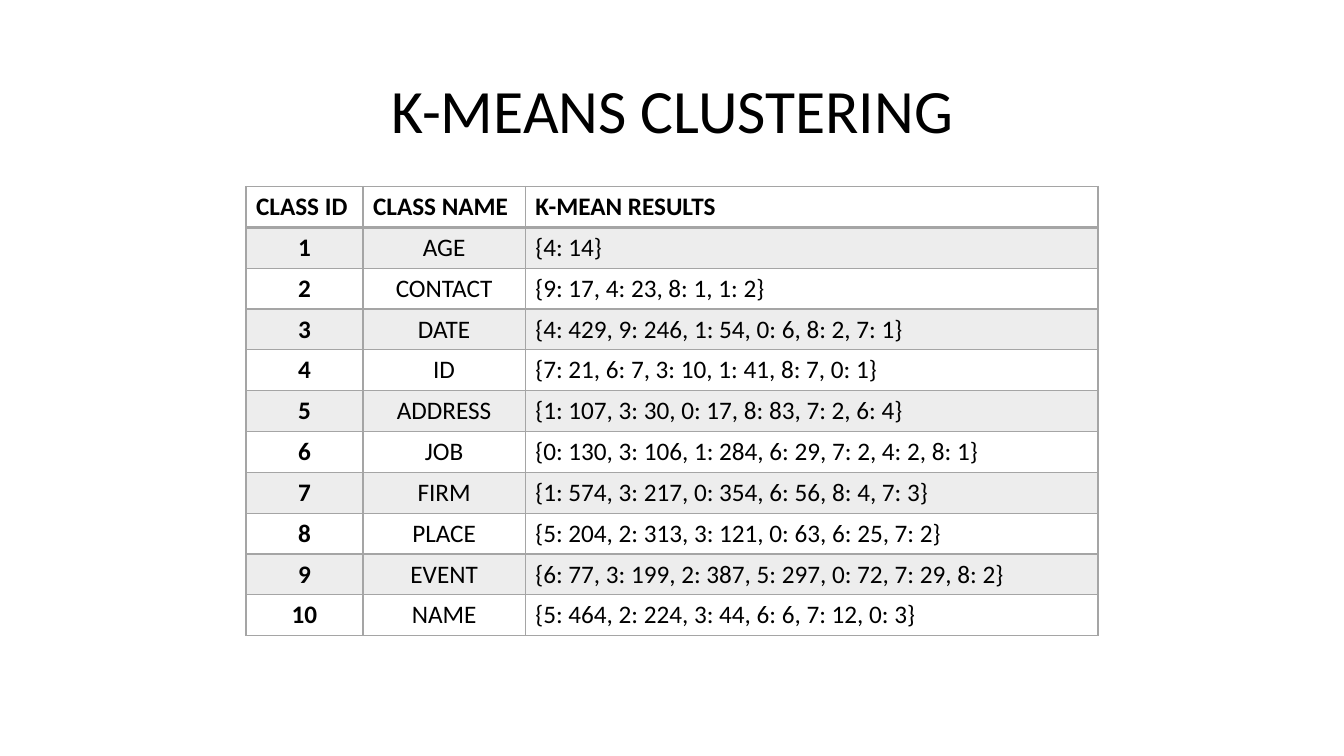
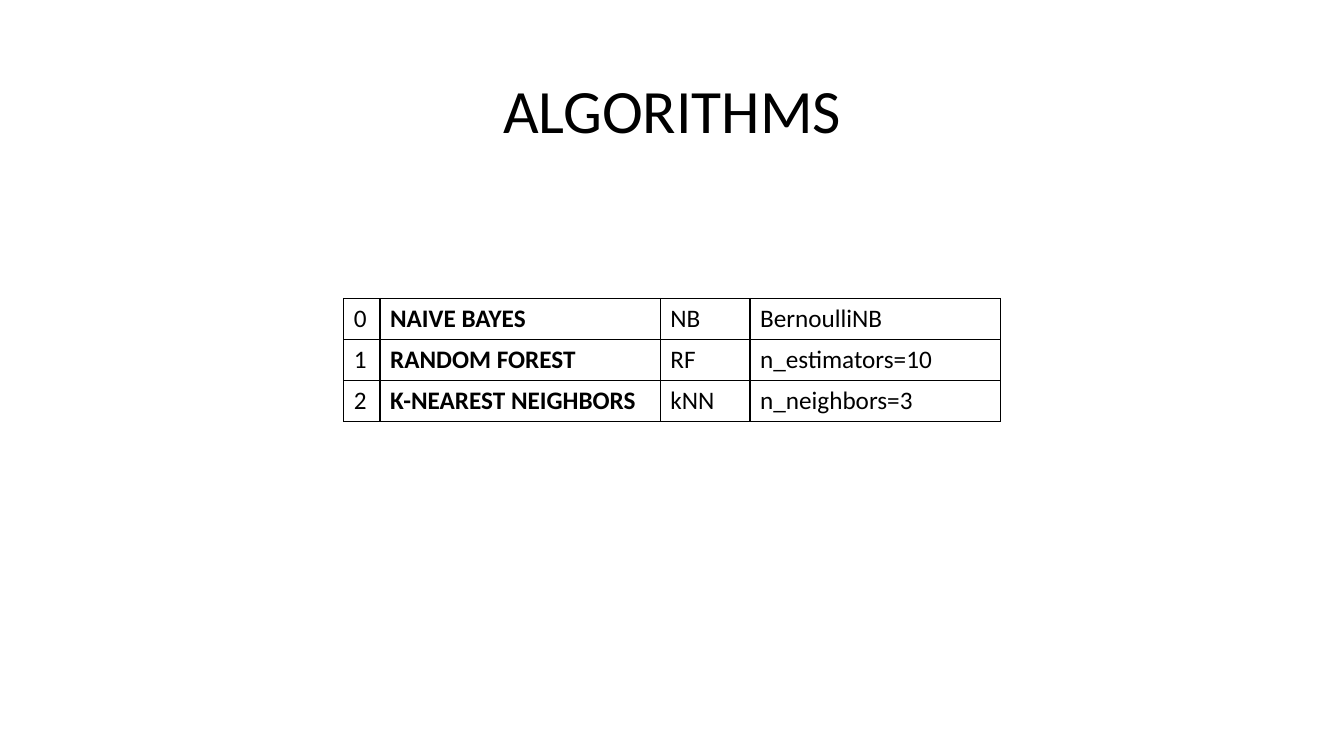
from dataclasses import dataclass

from lxml.etree import SubElement
from pptx import Presentation
from pptx.dml.color import RGBColor
from pptx.enum.text import MSO_ANCHOR, PP_ALIGN
from pptx.oxml.ns import qn
from pptx.slide import Slide
from pptx.table import _Cell
from pptx.text.text import _Paragraph
from pptx.util import Inches, Pt


@dataclass(frozen=True)
class Theme:
    """Colours, font and type sizes shared by the slides."""
    font: str = "Calibri"
    text: str = "000000"
    grid: str = "A5A5A5"
    band: str = "EDEDED"
    title_size: int = 44
    table_size: int = 18


@dataclass(frozen=True)
class TableSpec:
    """Content, place and styling rules of one table."""
    left: float
    top: float
    height: float
    column_widths: tuple[float, ...]
    rows: tuple[tuple[str, ...], ...]
    border: str
    bold_column: int
    centred_columns: tuple[int, ...] = ()
    has_header: bool = False


THEME = Theme()

CLUSTERING = TableSpec(
    left=2.44, top=1.85, height=4.46, column_widths=(1.16, 1.61, 5.68),
    border=THEME.grid, bold_column=0, centred_columns=(0, 1), has_header=True,
    rows=(
        ("CLASS ID", "CLASS NAME", "K-MEAN RESULTS"),
        ("1", "AGE", "{4: 14}"),
        ("2", "CONTACT", "{9: 17, 4: 23, 8: 1, 1: 2}"),
        ("3", "DATE", "{4: 429, 9: 246, 1: 54, 0: 6, 8: 2, 7: 1}"),
        ("4", "ID", "{7: 21, 6: 7, 3: 10, 1: 41, 8: 7, 0: 1}"),
        ("5", "ADDRESS", "{1: 107, 3: 30, 0: 17, 8: 83, 7: 2, 6: 4}"),
        ("6", "JOB", "{0: 130, 3: 106, 1: 284, 6: 29, 7: 2, 4: 2, 8: 1}"),
        ("7", "FIRM", "{1: 574, 3: 217, 0: 354, 6: 56, 8: 4, 7: 3}"),
        ("8", "PLACE", "{5: 204, 2: 313, 3: 121, 0: 63, 6: 25, 7: 2}"),
        ("9", "EVENT", "{6: 77, 3: 199, 2: 387, 5: 297, 0: 72, 7: 29, 8: 2}"),
        ("10", "NAME", "{5: 464, 2: 224, 3: 44, 6: 6, 7: 12, 0: 3}"),
    ),
)

ALGORITHMS = TableSpec(
    left=3.41, top=2.96, height=1.22, column_widths=(0.36, 2.78, 0.89, 2.48),
    border=THEME.text, bold_column=1,
    rows=(
        ("0", "NAIVE BAYES", "NB", "BernoulliNB"),
        ("1", "RANDOM FOREST", "RF", "n_estimators=10"),
        ("2", "K-NEAREST NEIGHBORS", "kNN", "n_neighbors=3"),
    ),
)


def format_runs(paragraph: _Paragraph, size: int, bold: bool = False) -> None:
    """Apply the theme font to every run of a paragraph."""
    for run in paragraph.runs:
        run.font.name = THEME.font
        run.font.size = Pt(size)
        run.font.bold = bold
        run.font.color.rgb = RGBColor.from_string(THEME.text)


def add_title(slide: Slide, text: str) -> None:
    """Add the centred slide title."""
    shape = slide.shapes.add_textbox(
        Inches(0.92), Inches(0.4), Inches(11.5), Inches(1.45))
    text_frame = shape.text_frame
    text_frame.word_wrap = True
    text_frame.vertical_anchor = MSO_ANCHOR.MIDDLE
    text_frame.text = text
    paragraph = text_frame.paragraphs[0]
    paragraph.alignment = PP_ALIGN.CENTER
    paragraph.line_spacing = 0.9
    format_runs(paragraph, THEME.title_size)


def set_borders(cell: _Cell, color: str, bottom_width: int) -> None:
    """Draw all four cell borders; call before setting the fill."""
    properties = cell._tc.get_or_add_tcPr()
    widths = {"a:lnL": 1, "a:lnR": 1, "a:lnT": 1, "a:lnB": bottom_width}
    for tag, width in widths.items():
        line = SubElement(properties, qn(tag), w=str(Pt(width)))
        fill = SubElement(line, qn("a:solidFill"))
        SubElement(fill, qn("a:srgbClr"), val=color)


def format_cell(cell: _Cell, spec: TableSpec, row: int, column: int) -> None:
    """Style one cell by its place in the table."""
    is_header = spec.has_header and row == 0
    is_body_under_header = spec.has_header and row > 0
    set_borders(cell, spec.border, 2 if is_header else 1)
    if is_body_under_header and row % 2 == 1:
        cell.fill.solid()
        cell.fill.fore_color.rgb = RGBColor.from_string(THEME.band)
    else:
        cell.fill.background()
    cell.vertical_anchor = (
        MSO_ANCHOR.MIDDLE if is_body_under_header else MSO_ANCHOR.TOP)
    paragraph = cell.text_frame.paragraphs[0]
    is_centred = not is_header and column in spec.centred_columns
    paragraph.alignment = PP_ALIGN.CENTER if is_centred else PP_ALIGN.LEFT
    format_runs(paragraph, THEME.table_size,
                is_header or column == spec.bold_column)


def add_table(slide: Slide, spec: TableSpec) -> None:
    """Add a table with equal row heights."""
    table = slide.shapes.add_table(
        len(spec.rows), len(spec.column_widths),
        Inches(spec.left), Inches(spec.top),
        Inches(sum(spec.column_widths)), Inches(spec.height)).table
    table.first_row = spec.has_header
    table.horz_banding = False
    for table_column, width in zip(table.columns, spec.column_widths):
        table_column.width = Inches(width)
    for row, texts in enumerate(spec.rows):
        for column, text in enumerate(texts):
            cell = table.cell(row, column)
            cell.text_frame.text = text
            format_cell(cell, spec, row, column)


def main() -> None:
    """Build and save the presentation."""
    presentation = Presentation()
    presentation.slide_width = Inches(13.33)
    presentation.slide_height = Inches(7.5)
    blank_layout = presentation.slide_layouts[6]
    for title, spec in (("K-MEANS CLUSTERING", CLUSTERING),
                        ("ALGORITHMS", ALGORITHMS)):
        slide = presentation.slides.add_slide(blank_layout)
        add_title(slide, title)
        add_table(slide, spec)
    presentation.save("out.pptx")


main()
